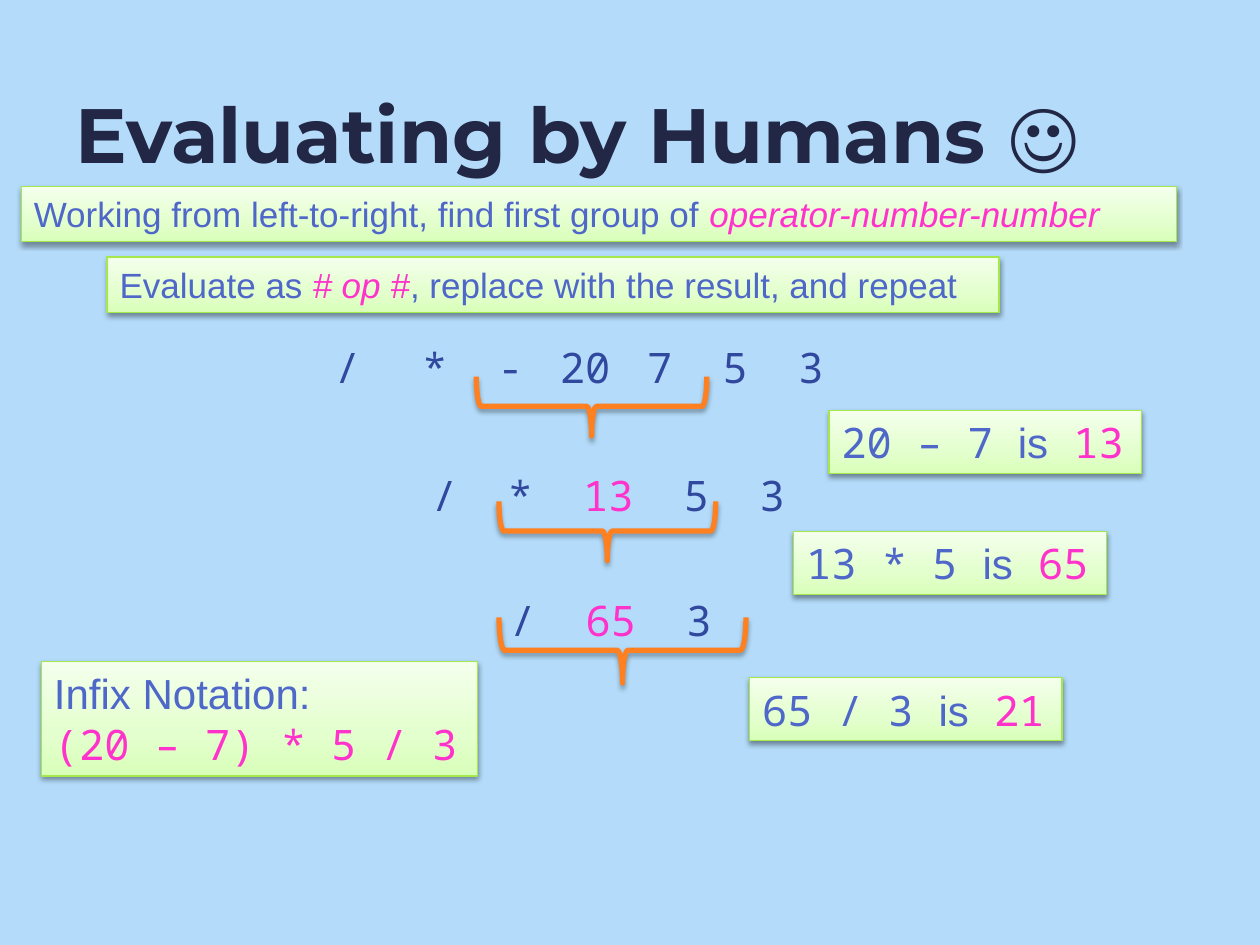
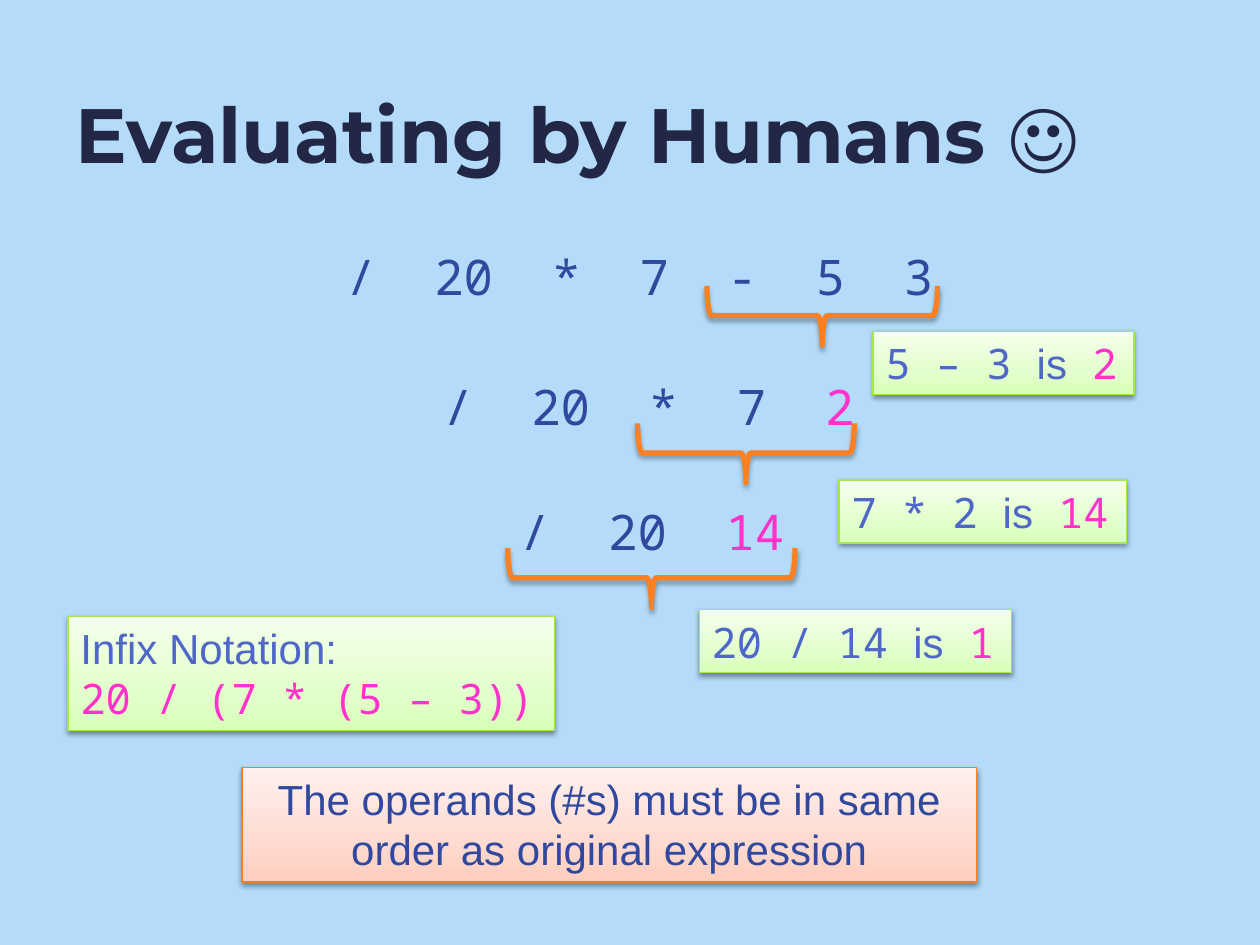
"""Builds two slides that evaluate prefix expressions step by step."""
from dataclasses import dataclass

from lxml import etree
from pptx import Presentation
from pptx.dml.color import RGBColor
from pptx.enum.shapes import MSO_SHAPE
from pptx.enum.text import MSO_ANCHOR, MSO_AUTO_SIZE, PP_ALIGN
from pptx.oxml.ns import qn
from pptx.util import Inches, Pt

RECT, BRACE = MSO_SHAPE.RECTANGLE, MSO_SHAPE.RIGHT_BRACE
TOP, MIDDLE = MSO_ANCHOR.TOP, MSO_ANCHOR.MIDDLE
GROW, FIXED = MSO_AUTO_SIZE.SHAPE_TO_FIT_TEXT, MSO_AUTO_SIZE.NONE
LEFT, CENTER = PP_ALIGN.LEFT, PP_ALIGN.CENTER

COLS, ROWS = 100, 75
SKY, NAVY, INDIGO, BLUE = "B4DCFA", "212745", "31489F", "4E67C8"
PINK, ORANGE = "FF33CC", "FF8021"
SANS, MONO = "Arial", "Noto Sans Mono"

STYLES = {
    "title": {"name": "Montserrat", "color": NAVY, "bold": True},
    "plain": {"name": SANS, "color": BLUE},
    "mark": {"name": SANS, "color": PINK, "italic": True},
    "rule": {"name": SANS, "color": INDIGO},
    "calc": {"name": MONO, "color": BLUE},
    "token": {"name": MONO, "color": INDIGO},
    "result": {"name": MONO, "color": PINK},
}

Runs = list[tuple[str, str]]


@dataclass(frozen=True)
class Area:
    """A rectangle in grid columns and rows."""
    left: float
    top: float
    width: float
    height: float = 5


@dataclass(frozen=True)
class Panel:
    """The gradient and the border of a text panel."""
    stops: tuple[str, str, str]
    border: str


@dataclass(frozen=True)
class Step:
    """An expression, the brace under its group, and the group's value."""
    runs: Runs
    at: Area
    brace: Area
    group: str
    value: str
    value_at: Area


GREEN = Panel(("D8FFB8", "E3FFCD", "F4FFEC"), "A4E94C")
PEACH = Panel(("FFCDBD", "FFDBD1", "FFF1EE"), "FF7C1B")
STOPS = (0, 35, 100)
TITLE_AT = Area(5, 2.7, 91.7, 15.7)

prs = Presentation()
prs.slide_width, prs.slide_height = Inches(10), Inches(7.5)


def rgb(value: str) -> RGBColor:
    """Turns a hex string into a colour."""
    return RGBColor.from_string(value)


def place(a: Area) -> tuple[int, int, int, int]:
    """Turns a grid area into slide lengths."""
    col, row = prs.slide_width / COLS, prs.slide_height / ROWS
    return (round(a.left * col), round(a.top * row),
            round(a.width * col), round(a.height * row))


def write(sp, paragraphs: list[Runs], size: float, wrap: bool = False,
          anchor=TOP, fit=GROW, align=LEFT) -> None:
    """Writes paragraphs of styled runs into a shape."""
    tf = sp.text_frame
    frame = {"word_wrap": wrap, "vertical_anchor": anchor, "auto_size": fit}
    for key, value in frame.items():
        setattr(tf, key, value)
    for i, runs in enumerate(paragraphs):
        p = tf.add_paragraph() if i else tf.paragraphs[0]
        p.alignment = align
        for text, style in runs:
            r = p.add_run()
            r.text = text
            r.font.size = Pt(size)
            for key, value in STYLES[style].items():
                if key == "color":
                    r.font.color.rgb = rgb(value)
                else:
                    setattr(r.font, key, value)


def add_shadow(sp, alpha: int, blur: float, dist: float) -> None:
    """Gives a shape a soft shadow that falls straight down."""
    sp.shadow.inherit = False
    effects = sp._element.spPr.find(qn("a:effectLst"))
    shadow = etree.SubElement(
        effects, qn("a:outerShdw"), blurRad=str(Pt(blur)), dist=str(Pt(dist)),
        dir="5400000", rotWithShape="0")
    color = etree.SubElement(shadow, qn("a:srgbClr"), val="000000")
    etree.SubElement(color, qn("a:alpha"), val=str(alpha * 1000))


def add_panel(s, at: Area, paragraphs: list[Runs], size: float = 24,
              panel: Panel = GREEN, **layout) -> None:
    """Draws a gradient panel with text."""
    sp = s.shapes.add_shape(RECT, *place(at))
    sp.fill.gradient()
    sp.fill.gradient_angle = 90
    stops = sp._element.spPr.find(qn("a:gradFill")).find(qn("a:gsLst"))
    for old in list(stops):
        stops.remove(old)
    for pos, value in zip(STOPS, panel.stops):
        stop = etree.SubElement(stops, qn("a:gs"), pos=str(pos * 1000))
        etree.SubElement(stop, qn("a:srgbClr"), val=value)
    sp.line.color.rgb = rgb(panel.border)
    sp.line.width = Pt(0.75)
    add_shadow(sp, 38, 3.1, 1.6)
    write(sp, paragraphs, size, **layout)


def add_text(s, at: Area, runs: Runs, size: float, **layout) -> None:
    """Draws one paragraph of plain text."""
    write(s.shapes.add_textbox(*place(at)), [runs], size, **layout)


def add_brace(s, at: Area) -> None:
    """Draws a brace that opens upwards and fills the area."""
    turned = Area(at.left + (at.width - at.height) / 2,
                  at.top + (at.height - at.width) / 2, at.height, at.width)
    sp = s.shapes.add_shape(BRACE, *place(turned))
    sp.rotation = 90
    sp.fill.background()
    sp.line.color.rgb = rgb(ORANGE)
    sp.line.width = Pt(3)
    add_shadow(sp, 35, 3.1, 1.8)


def add_step(s, step: Step, size: float) -> None:
    """Draws one step of the evaluation."""
    add_text(s, step.at, step.runs, size)
    add_brace(s, step.brace)
    add_panel(s, step.value_at, [[(step.group + " ", "calc"), ("is", "plain"),
                                  (" ", "calc"), (step.value, "result")]])


def add_slide(steps: list[Step], size: float, infix: str, infix_at: Area):
    """Adds a slide with its title, steps and infix form."""
    s = prs.slides.add_slide(prs.slide_layouts[6])
    s.background.fill.solid()
    s.background.fill.fore_color.rgb = rgb(SKY)
    add_text(s, TITLE_AT, [("Evaluating by Humans ☺", "title")], 44,
             wrap=True, anchor=MIDDLE, fit=FIXED)
    for step in steps:
        add_step(s, step, size)
    add_panel(s, infix_at, [[("Infix Notation:", "plain")],
                            [(infix, "result")]])
    return s


FIRST = [
    Step([("/  ", "token"), (" ", "rule"), ("*  - ", "token"), (" ", "rule"),
          ("20 ", "token"), (" ", "rule"), ("7  5  3", "token")],
         Area(25.6, 26.6, 41.4), Area(37.8, 29.9, 18.3, 4.7),
         "20 – 7", "13", Area(65.8, 32.6, 24.8)),
    Step([("/  *  ", "token"), ("13  ", "result"), ("5  3", "token")],
         Area(33.3, 36.8, 30.5), Area(39.6, 39.8, 17.2, 4.7),
         "13 * 5", "65", Area(63, 42.2, 24.8)),
    Step([("/  ", "token"), ("65  ", "result"), ("3", "token")],
         Area(39.5, 46.7, 18.3), Area(39.6, 49, 19.6, 5.2),
         "65 / 3", "21", Area(59.5, 53.8, 24.8)),
]
SECOND = [
    Step([("/  20  *  7  -  5  3", "token")],
         Area(26.5, 19.1, 49.4, 5.7), Area(56.1, 22.7, 18.3, 4.7),
         "5 – 3", "2", Area(69.3, 26.3, 20.7)),
    Step([("/  20  *  7  ", "token"), ("2", "result")],
         Area(34.2, 29.4, 35.2, 5.7), Area(50.6, 33.6, 17.2, 4.7),
         "7 * 2", "14", Area(66.6, 38.1, 22.8)),
    Step([("/  20  ", "token"), ("14", "result")],
         Area(40.3, 39.3, 23.3, 5.7), Area(40.3, 43.5, 22.8, 4.7),
         "20 / 14", "1", Area(55.5, 48.4, 24.8)),
]

s = add_slide(FIRST, 24, "(20 – 7) * 5 / 3", Area(3.3, 52.5, 34.6, 9.1))
add_panel(s, Area(1.7, 14.8, 91.7, 4.4),
          [[("Working from left-to-right, find first group of ", "plain"),
            ("operator-number-number", "mark")]], 20, wrap=True)
add_panel(s, Area(8.5, 20.4, 70.8, 4.4),
          [[("Evaluate as ", "plain"), ("# op #", "mark"),
            (", replace with the result, and repeat", "plain")]],
          20, wrap=True)

s = add_slide(SECOND, 28, "20 / (7 * (5 – 3))", Area(5.4, 48.9, 38.6, 9.1))
add_panel(s, Area(19.2, 60.9, 58.3, 9.1),
          [[("The operands (#s) must be in same order as original expression",
             "rule")]], panel=PEACH, wrap=True, align=CENTER)

prs.save("out.pptx")
